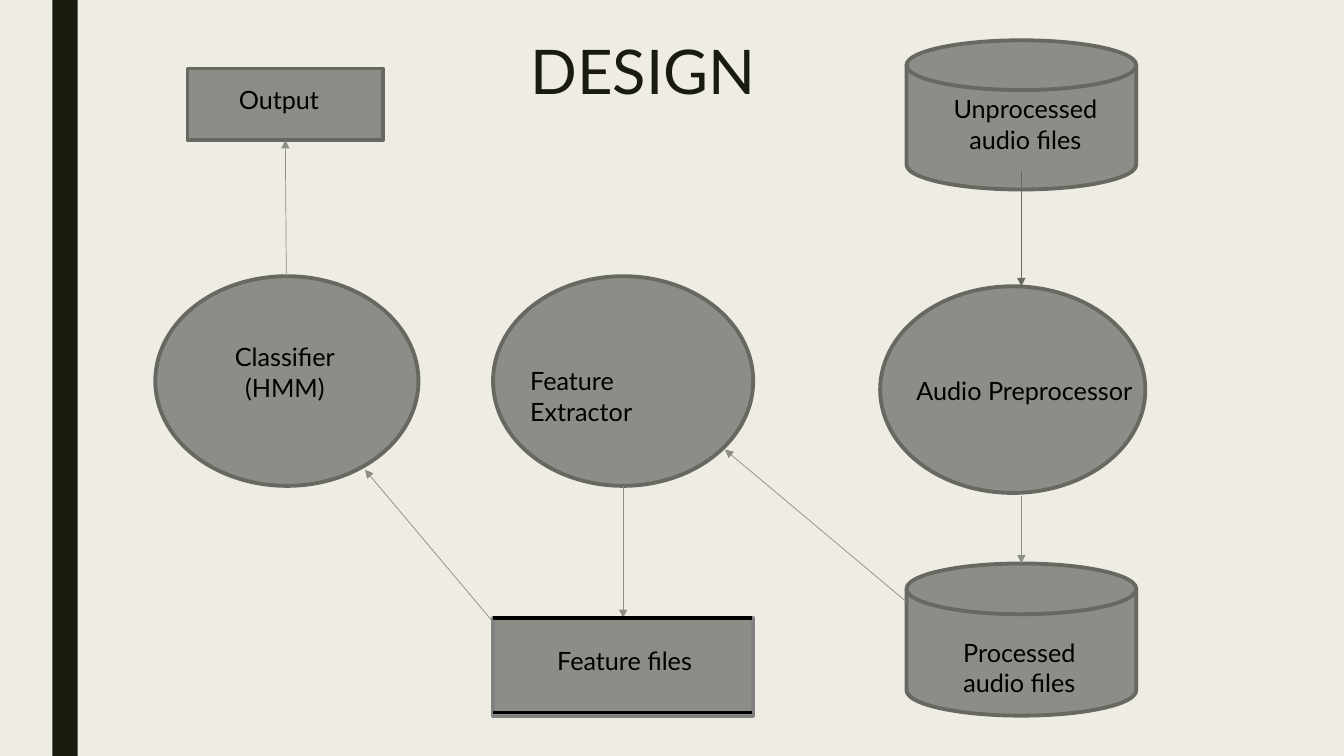
from pptx import Presentation
from pptx import util as u
from pptx.dml.color import RGBColor
from pptx.enum import shapes, text
from pptx.oxml.ns import qn
from lxml import etree

CREAM = RGBColor(0xEF, 0xED, 0xE3)
INK = RGBColor(0x19, 0x1B, 0x0E)
GREY = RGBColor(0x8C, 0x8D, 0x86)
EDGE = RGBColor(0x68, 0x68, 0x63)
DARK = RGBColor(0x69, 0x6A, 0x64)
MID = RGBColor(0x80, 0x80, 0x80)
BLACK = RGBColor(0, 0, 0)

# Grid of 1333 columns by 750 rows, each cell a hundredth of an inch
CELL = u.Inches(0.01)
COLS, ROWS = 1333, 750


def grid(*cells):
    return [u.Emu(n * CELL) for n in cells]


def write(frame, words, size, color, align):
    frame.text = words
    frame.word_wrap = True
    for para in frame.paragraphs:
        para.alignment = align
        look = {"name": "Lato", "size": u.Pt(size), "bold": False}
        for key, value in look.items():
            setattr(para.font, key, value)
        para.font.color.rgb = color


deck = Presentation()
deck.slide_width, deck.slide_height = grid(COLS, ROWS)
slide = deck.slides.add_slide(deck.slide_layouts[5])
slide.background.fill.solid()
slide.background.fill.fore_color.rgb = CREAM

# Side band and flow nodes
KIND = shapes.MSO_SHAPE
DISK = KIND.FLOWCHART_MAGNETIC_DISK
nodes = {}
for name, kind, box, fill, edge in [
    ("band", KIND.RECTANGLE, (52, 0, 25, ROWS), INK, None),
    ("raw", DISK, (899, 40, 228, 148), GREY, EDGE),
    ("clean", DISK, (899, 559, 228, 151), GREY, EDGE),
    ("prep", KIND.OVAL, (873, 284, 263, 205), GREY, EDGE),
    ("extract", KIND.OVAL, (489, 274, 258, 208), GREY, EDGE),
    ("files", KIND.RECTANGLE, (489, 613, 258, 97), GREY, MID),
    ("class", KIND.OVAL, (154, 274, 261, 208), GREY, EDGE),
    ("output", KIND.RECTANGLE, (186, 68, 194, 71), GREY, EDGE),
]:
    node = slide.shapes.add_shape(kind, *grid(*box))
    node.shadow.inherit = False
    node.fill.solid()
    node.fill.fore_color.rgb = fill
    if edge is None:
        node.line.fill.background()
    else:
        node.line.color.rgb = edge
        node.line.width = u.Pt(2.75)
    nodes[name] = node

# Arrows between nodes, and the rules of the file store
for ends, color, width, arrow, goal in [
    ((1013, 170, 1013, 284), DARK, 0.5, True, None),
    ((1013, 492, 1013, 559), GREY, 0.5, True, None),
    ((899, 597, 719, 446), GREY, 0.5, True, None),
    ((618, 482, 618, 613), GREY, 0.5, True, ("files", 0)),
    ((489, 617, 362, 466), GREY, 0.5, True, None),
    ((284, 274, 283, 139), GREY, 0.5, True, ("output", 2)),
    ((489, 707, 746, 707), BLACK, 3, False, None),
    ((489, 709, 746, 709), GREY, 0.5, False, None),
    ((489, 613, 746, 613), BLACK, 3, False, None),
]:
    link = slide.shapes.add_connector(shapes.MSO_CONNECTOR.STRAIGHT, *grid(*ends))
    link.line.color.rgb = color
    link.line.width = u.Pt(width)
    if arrow:
        etree.SubElement(link.line._get_or_add_ln(), qn("a:tailEnd"), type="triangle")
    etree.SubElement(link._element.spPr, qn("a:effectLst"))
    if goal:
        link.end_connect(nodes[goal[0]], goal[1])

# Labels
LEFT, MIDDLE = text.PP_ALIGN.LEFT, text.PP_ALIGN.CENTER
for words, box, align in [
    ("Unprocessed audio files", (920, 88, 194, 71), MIDDLE),
    ("Processed audio files", (914, 627, 194, 71), MIDDLE),
    ("Audio Preprocessor", (899, 367, 238, 40), LEFT),
    ("Feature Extractor", (516, 358, 203, 40), LEFT),
    ("Feature files", (518, 635, 203, 40), MIDDLE),
    ("Classifier\n(HMM)", (203, 334, 159, 71), MIDDLE),
    ("Output", (227, 79, 135, 40), LEFT),
]:
    label = slide.shapes.add_textbox(*grid(*box))
    write(label.text_frame, words, 18, BLACK, align)

# Title
title = slide.shapes.title
title.left, title.top, title.width, title.height = grid(516, 37, 1050, 162)
write(title.text_frame, "DESIGN", 44, INK, LEFT)
title.text_frame.vertical_anchor = text.MSO_ANCHOR.TOP
title.text_frame.paragraphs[0].line_spacing = 0.89

deck.save("out.pptx")
